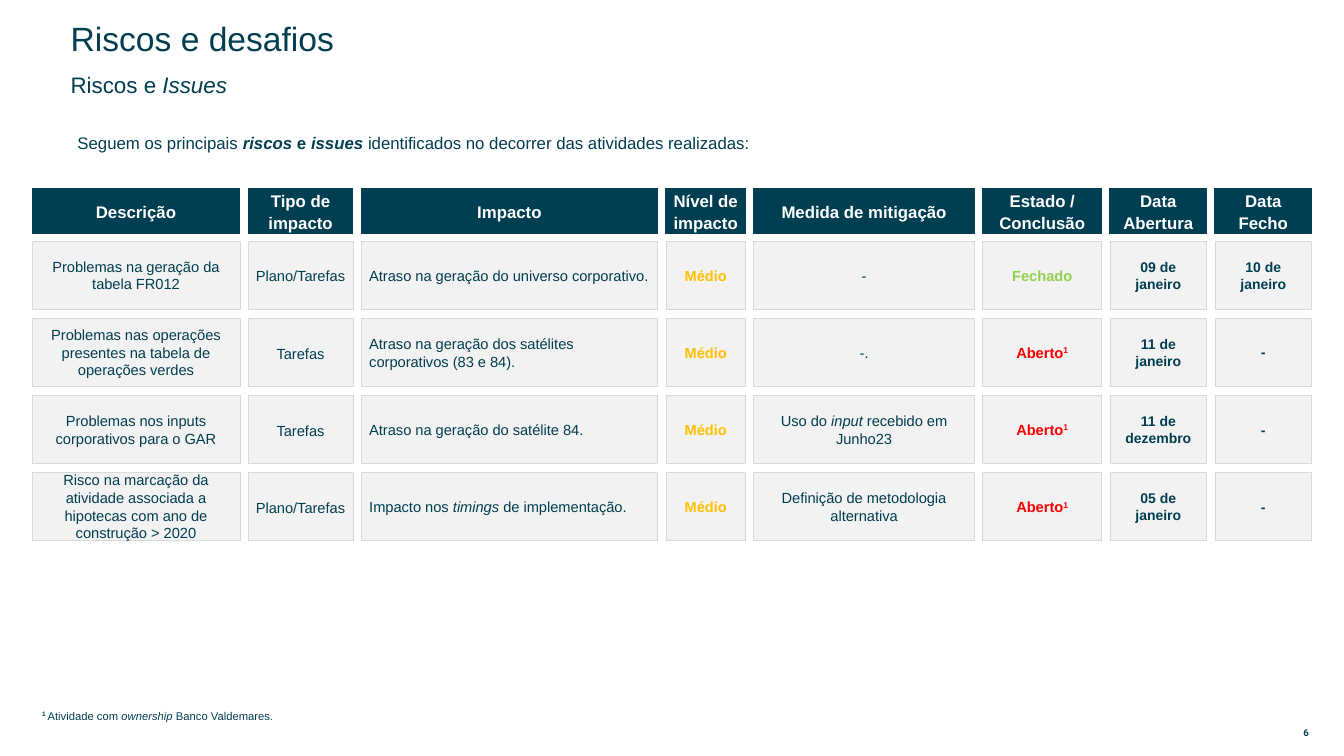
from itertools import accumulate

from pptx import Presentation
from pptx.dml.color import RGBColor
from pptx.enum.shapes import MSO_SHAPE
from pptx.enum.text import MSO_ANCHOR, MSO_AUTO_SIZE, PP_ALIGN
from pptx.util import Inches, Pt

COLORS = {
    "petrol": "003E51",
    "white": "FFFFFF",
    "cell": "F2F2F2",
    "border": "D9D9D9",
    "amber": "FFC000",
    "green": "92D050",
    "red": "FF0000",
}

# Heading, width, side inset, text size, bold, line spacing
COLUMNS = [
    ("Descrição", 2.06, 0.04, 10.5, False, 1),
    ("Tipo de impacto", 1.04, 0.04, 10.5, False, 1.1),
    ("Impacto", 2.94, 0.08, 10.5, False, 1),
    ("Nível de impacto", 0.79, 0, 10.4, True, 1),
    ("Medida de mitigação", 2.19, 0.12, 10.5, False, 1),
    ("Estado / Conclusão", 1.18, 0.12, 10.5, True, 1),
    ("Data Abertura", 0.96, 0.12, 10, True, 1),
    ("Data Fecho", 0.96, 0.12, 10, True, 1),
]

# A run is (text, marks): b bold, i italic, ^ superscript
OPEN = [("Aberto", ""), ("1", "^")]
RISKS = [
    ["Problemas na geração da tabela FR012", "Plano/Tarefas",
     "Atraso na geração do universo corporativo.", "Médio", "-",
     "Fechado", "09 de janeiro", "10 de janeiro"],
    ["Problemas nas operações presentes na tabela de operações verdes", "Tarefas",
     "Atraso na geração dos satélites corporativos (83 e 84).", "Médio", "-.",
     OPEN, "11 de janeiro", "-"],
    ["Problemas nos inputs corporativos para o GAR", "Tarefas",
     "Atraso na geração do satélite 84.", "Médio",
     [("Uso do ", ""), ("input", "i"), (" recebido em Junho23", "")],
     OPEN, "11 de dezembro", "-"],
    ["Risco na marcação da atividade associada a hipotecas com ano de construção > 2020",
     "Plano/Tarefas",
     [("Impacto nos ", ""), ("timings", "i"), (" de implementação.", "")], "Médio",
     "Definição de metodologia alternativa", OPEN, "05 de janeiro", "-"],
]
STATUS_COLORS = {"Médio": "amber", "Fechado": "green", "Aberto": "red"}

HEADER_HEIGHT, FIRST_ROW, ROW_PITCH, ROW_HEIGHT = 0.45, 0.52, 0.765, 0.68


def rgb(name):
    return RGBColor.from_string(COLORS[name])


def place(shape, box):
    shape.left, shape.top, shape.width, shape.height = map(Inches, box)


def write(shape, content, size, color="petrol", bold=False, align=PP_ALIGN.LEFT,
          spacing=1, anchor=MSO_ANCHOR.MIDDLE, insets=(0.1, 0.05), font="Arial"):
    frame = shape.text_frame
    frame.word_wrap = True
    frame.auto_size = MSO_AUTO_SIZE.NONE
    frame.vertical_anchor = anchor
    frame.margin_left = frame.margin_right = Inches(insets[0])
    frame.margin_top = frame.margin_bottom = Inches(insets[1])
    paragraph = frame.paragraphs[0]
    paragraph.alignment = align
    paragraph.line_spacing = spacing
    paragraph.space_before = Pt(0)
    for text, marks in [(content, "")] if isinstance(content, str) else content:
        run = paragraph.add_run()
        run.text = text
        run.font.name = font
        run.font.size = Pt(size)
        run.font.bold = bold or "b" in marks
        run.font.italic = "i" in marks
        run.font.color.rgb = rgb(color)
        if "^" in marks:
            run._r.get_or_add_rPr().set("baseline", "30000")
    return paragraph


def add_text(slide, box, content, size, **style):
    write(slide.shapes.add_textbox(*map(Inches, box)), content, size, **style)


def add_cell(slide, box, fill, border, border_width):
    cell = slide.shapes.add_shape(MSO_SHAPE.RECTANGLE, *map(Inches, box))
    cell.shadow.inherit = False
    cell.fill.solid()
    cell.fill.fore_color.rgb = rgb(fill)
    cell.line.color.rgb = rgb(border)
    cell.line.width = Pt(border_width)
    return cell


def add_heading(slide, box):
    """Title, subtitle and introduction, stacked in the box."""
    left, top, width = box
    title, subtitle = slide.shapes.title, slide.placeholders[1]
    place(title, (left, top, width, 0.26))
    write(title, "Riscos e desafios", 24, spacing=0.9)
    place(subtitle, (left, top + 0.46, width, 0.26))
    paragraph = write(subtitle, [("Riscos e ", ""), ("Issues", "i")], 16, spacing=0.9)
    properties = paragraph._p.get_or_add_pPr()
    properties.set("marL", "0")
    properties.set("indent", "0")
    properties.insert_element_before(
        properties.makeelement(
            "{http://schemas.openxmlformats.org/drawingml/2006/main}buNone", {}),
        "a:tabLst", "a:defRPr", "a:extLst")
    add_text(slide, (left + 0.07, top + 1, 12.15, 0.44),
             [("Seguem os principais ", ""), ("riscos ", "bi"), ("e ", "b"),
              ("issues ", "bi"),
              ("identificados no decorrer das atividades realizadas:", "")],
             12, anchor=MSO_ANCHOR.TOP)


def add_risk_grid(slide, box):
    left, top, width = box
    widths = [column[1] for column in COLUMNS]
    gap = (width - sum(widths)) / (len(widths) - 1)
    lefts = accumulate((w + gap for w in widths[:-1]), initial=left)
    for index, (x, column) in enumerate(zip(lefts, COLUMNS)):
        heading, column_width, inset, size, bold, spacing = column
        header = add_cell(slide, (x, top, column_width, HEADER_HEIGHT),
                          "petrol", "petrol", 0.75)
        write(header, heading, 12, "white", True, PP_ALIGN.CENTER, 1.1,
              insets=(0.04, 0.04))
        align = PP_ALIGN.LEFT if heading == "Impacto" else PP_ALIGN.CENTER
        for row, risk in enumerate(RISKS):
            content = risk[index]
            first_text = content if isinstance(content, str) else content[0][0]
            y = top + FIRST_ROW + row * ROW_PITCH
            cell = add_cell(slide, (x, y, column_width, ROW_HEIGHT),
                            "cell", "border", 0.5)
            write(cell, content, size, STATUS_COLORS.get(first_text, "petrol"),
                  bold, align, spacing, insets=(inset, 0.04))


def add_footer(slide, box):
    left, top, width = box
    add_text(slide, (left, top, 11.76, 0.25),
             [("1 ", "b^"), ("Atividade com ", ""), ("ownership", "i"),
              (" Banco Valdemares.", "")],
             8, spacing=1.1, anchor=MSO_ANCHOR.TOP)
    add_text(slide, (left + width - 0.45, top + 0.22, 0.45, 0.16), "6", 6.8,
             bold=True, align=PP_ALIGN.CENTER, insets=(0.06, 0.03), font="Roboto")


def main():
    prs = Presentation()
    prs.slide_width, prs.slide_height = Inches(13.33), Inches(7.5)
    slide = prs.slides.add_slide(prs.slide_layouts[1])
    add_heading(slide, (0.6, 0.27, 7.95))
    add_risk_grid(slide, (0.32, 1.87, 12.69))
    add_footer(slide, (0.32, 6.97, 12.86))
    prs.save("out.pptx")


if __name__ == "__main__":
    main()
